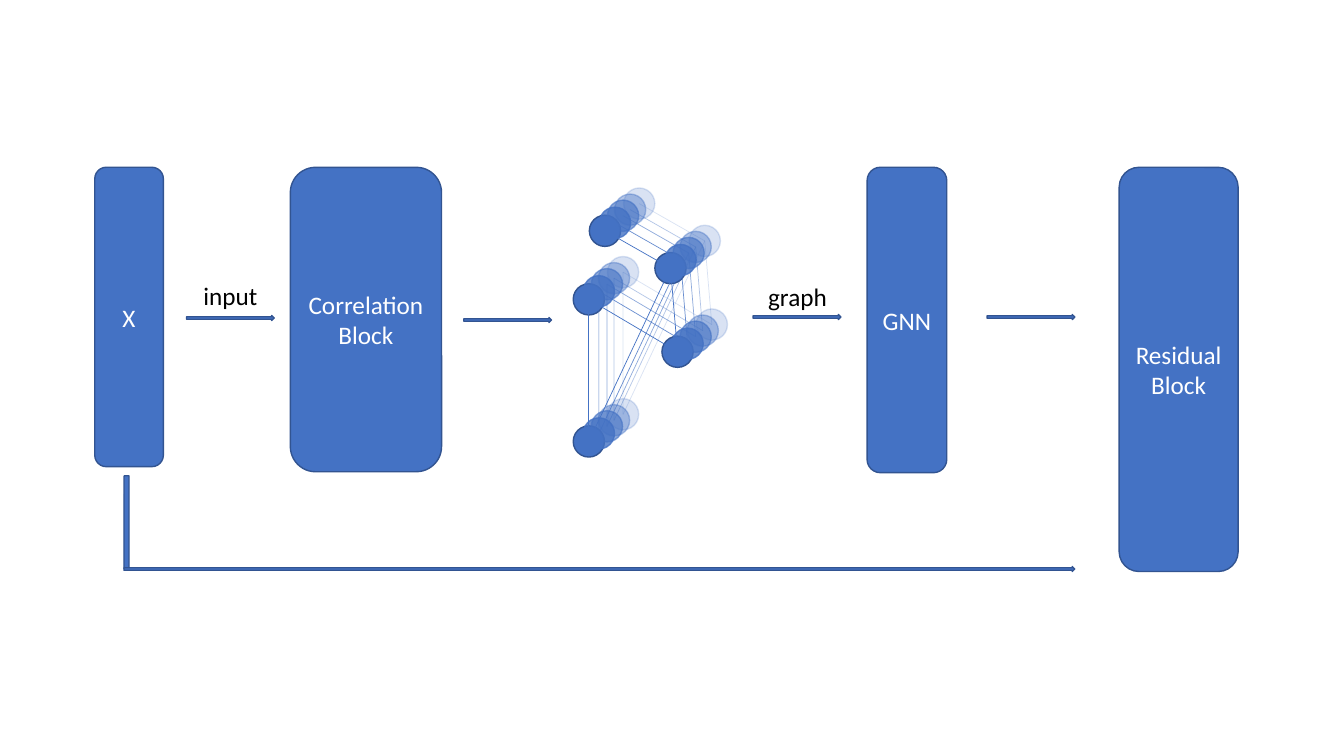
from dataclasses import dataclass
from typing import Any

from lxml.etree import SubElement
from pptx import Presentation
from pptx.dml.color import RGBColor
from pptx.dml.fill import FillFormat
from pptx.enum.shapes import MSO_CONNECTOR, MSO_SHAPE
from pptx.enum.text import MSO_ANCHOR, MSO_AUTO_SIZE, PP_ALIGN
from pptx.oxml.ns import qn
from pptx.shapes.autoshape import Shape
from pptx.slide import Slide
from pptx.text.text import TextFrame
from pptx.util import Inches, Pt

BLUE, OUTLINE, WHITE, BLACK = "4472C4", "325491", "FFFFFF", "000000"
FONT = {"name": "Calibri", "size": Pt(18)}
BLOCK_TEXT = {"word_wrap": True, "vertical_anchor": MSO_ANCHOR.MIDDLE}
LABEL_TEXT = {"word_wrap": False, "auto_size": MSO_AUTO_SIZE.SHAPE_TO_FIT_TEXT}


@dataclass(frozen=True)
class Block:
    text: str
    left: float
    width: float
    height: float


@dataclass(frozen=True)
class Arrow:
    left: float
    top: float
    width: float = 0.87


@dataclass(frozen=True)
class Label:
    text: str
    left: float
    top: float
    width: float


@dataclass(frozen=True)
class Layer:
    right: float
    up: float
    opacity: int


BLOCK_TOP = 1.66
BLOCKS = [
    Block("X", 0.94, 0.68, 2.97),
    Block("Correlation Block", 2.88, 1.5, 3.02),
    Block("GNN", 8.6, 0.79, 3.03),
    Block("Residual\nBlock", 11.1, 1.18, 4.01),
]
BAR = 0.05
SKIP_LEFT, SKIP_TOP = 1.23, 4.72
ARROWS = [
    Arrow(1.85, 3.13),
    Arrow(4.6, 3.15),
    Arrow(7.47, 3.12),
    Arrow(9.79, 3.12),
    Arrow(SKIP_LEFT, 5.62, 9.43),
]
LABELS = [Label("input", 1.92, 2.73, 0.74), Label("graph", 7.52, 2.74, 0.79)]

# Graph: node centres of the front layer, and pairs of joined nodes
NODE_SIZE = 0.31
NODES = [(6.0, 2.29), (6.65, 2.66), (5.84, 2.97), (6.72, 3.49), (5.84, 4.38)]
EDGES = [(0, 1), (1, 3), (2, 3), (2, 4), (1, 4)]
LAYERS = [
    Layer(0, 0, 100),
    Layer(0.1, 0.08, 80),
    Layer(0.18, 0.15, 60),
    Layer(0.25, 0.21, 40),
    Layer(0.34, 0.27, 20),
]


def color(code: str) -> RGBColor:
    return RGBColor.from_string(code)


def apply(target: Any, values: dict[str, Any]) -> None:
    for name, value in values.items():
        setattr(target, name, value)


def paint(fill: FillFormat, code: str, opacity: int = 100) -> None:
    fill.solid()
    fill.fore_color.rgb = color(code)
    if opacity < 100:
        tint = fill._xPr.find(qn("a:solidFill"))[0]
        SubElement(tint, qn("a:alpha")).set("val", str(opacity * 1000))


def add_shape(page: Slide, kind: MSO_SHAPE, left: float, top: float,
              width: float, height: float, opacity: int = 100) -> Shape:
    shape = page.shapes.add_shape(
        kind, Inches(left), Inches(top), Inches(width), Inches(height))
    shape.shadow.inherit = False
    paint(shape.fill, BLUE, opacity)
    paint(shape.line.fill, OUTLINE if opacity == 100 else BLUE, opacity)
    shape.line.width = Pt(1)
    return shape


def write(frame: TextFrame, text: str, code: str, align: PP_ALIGN,
          values: dict[str, Any]) -> None:
    apply(frame, values)
    frame.text = text
    for para in frame.paragraphs:
        para.alignment = align
        for span in para.runs:
            apply(span.font, FONT)
            span.font.color.rgb = color(code)


def add_edge(page: Slide, start: tuple[float, float],
             end: tuple[float, float], opacity: int) -> None:
    edge = page.shapes.add_connector(
        MSO_CONNECTOR.STRAIGHT, *map(Inches, (*start, *end)))
    paint(edge.line.fill, BLUE, opacity)
    edge.line.width = Pt(0.5)
    SubElement(edge._element.spPr, qn("a:effectLst"))


def add_layer(page: Slide, layer: Layer) -> None:
    centres = [(x + layer.right, y - layer.up) for x, y in NODES]
    for x, y in centres:
        add_shape(page, MSO_SHAPE.OVAL, x - NODE_SIZE / 2, y - NODE_SIZE / 2,
                  NODE_SIZE, NODE_SIZE, layer.opacity)
    for first, second in EDGES:
        add_edge(page, centres[first], centres[second], layer.opacity)


def add_block(page: Slide, block: Block) -> None:
    box = add_shape(page, MSO_SHAPE.ROUNDED_RECTANGLE, block.left, BLOCK_TOP,
                    block.width, block.height)
    write(box.text_frame, block.text, WHITE, PP_ALIGN.CENTER, BLOCK_TEXT)


def add_label(page: Slide, label: Label) -> None:
    box = page.shapes.add_textbox(Inches(label.left), Inches(label.top),
                                  Inches(label.width), Inches(0.4))
    write(box.text_frame, label.text, BLACK, PP_ALIGN.LEFT, LABEL_TEXT)


def main() -> None:
    deck = Presentation()
    apply(deck, {"slide_width": Inches(13.33), "slide_height": Inches(7.5)})
    page = deck.slides.add_slide(deck.slide_layouts[6])

    # Stacked graph, front layer first
    for layer in LAYERS:
        add_layer(page, layer)

    # Processing blocks
    for block in BLOCKS:
        add_block(page, block)

    # Stem of the skip path, then all arrows
    stem = add_shape(page, MSO_SHAPE.ROUND_1_RECTANGLE,
                     SKIP_LEFT, SKIP_TOP, BAR, 0.92)
    stem._element.spPr.get_or_add_xfrm().set("flipH", "1")
    for arrow in ARROWS:
        add_shape(page, MSO_SHAPE.RIGHT_ARROW,
                  arrow.left, arrow.top, arrow.width, BAR)

    # Arrow labels
    for label in LABELS:
        add_label(page, label)

    deck.save("out.pptx")


if __name__ == "__main__":
    main()
